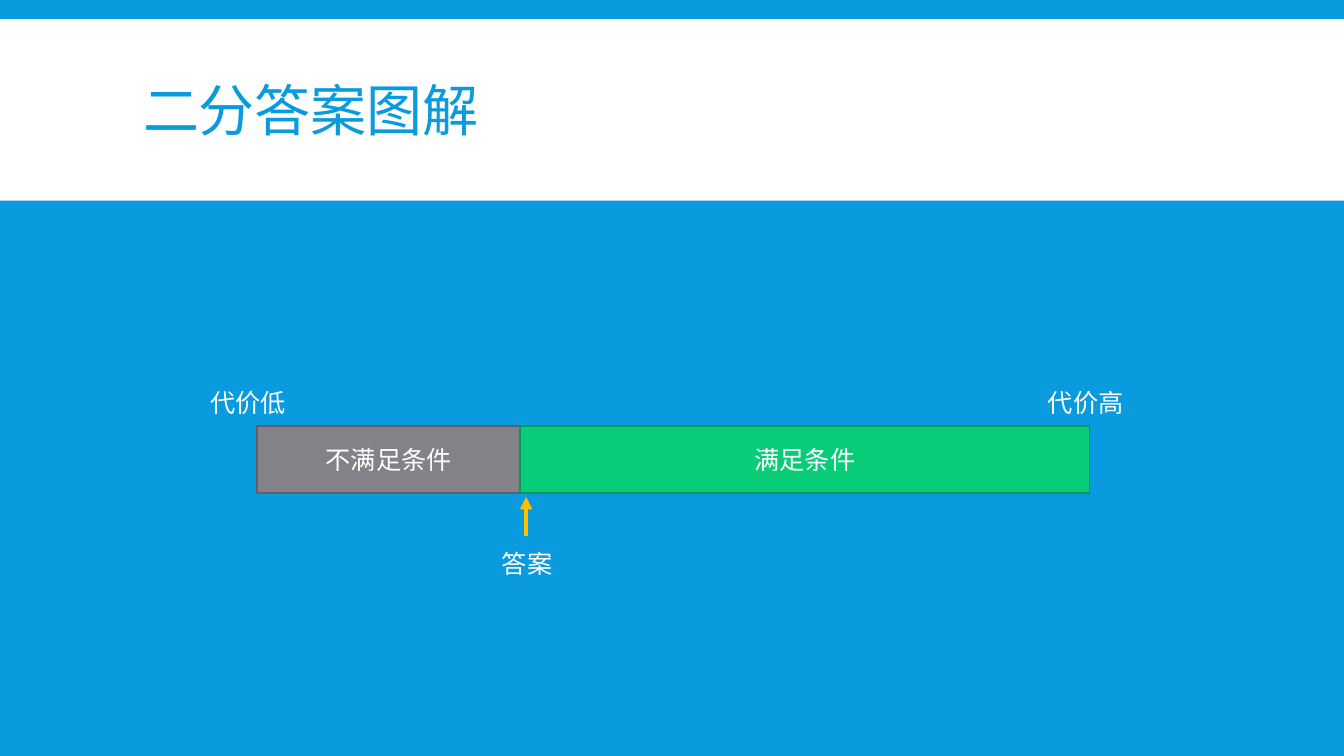
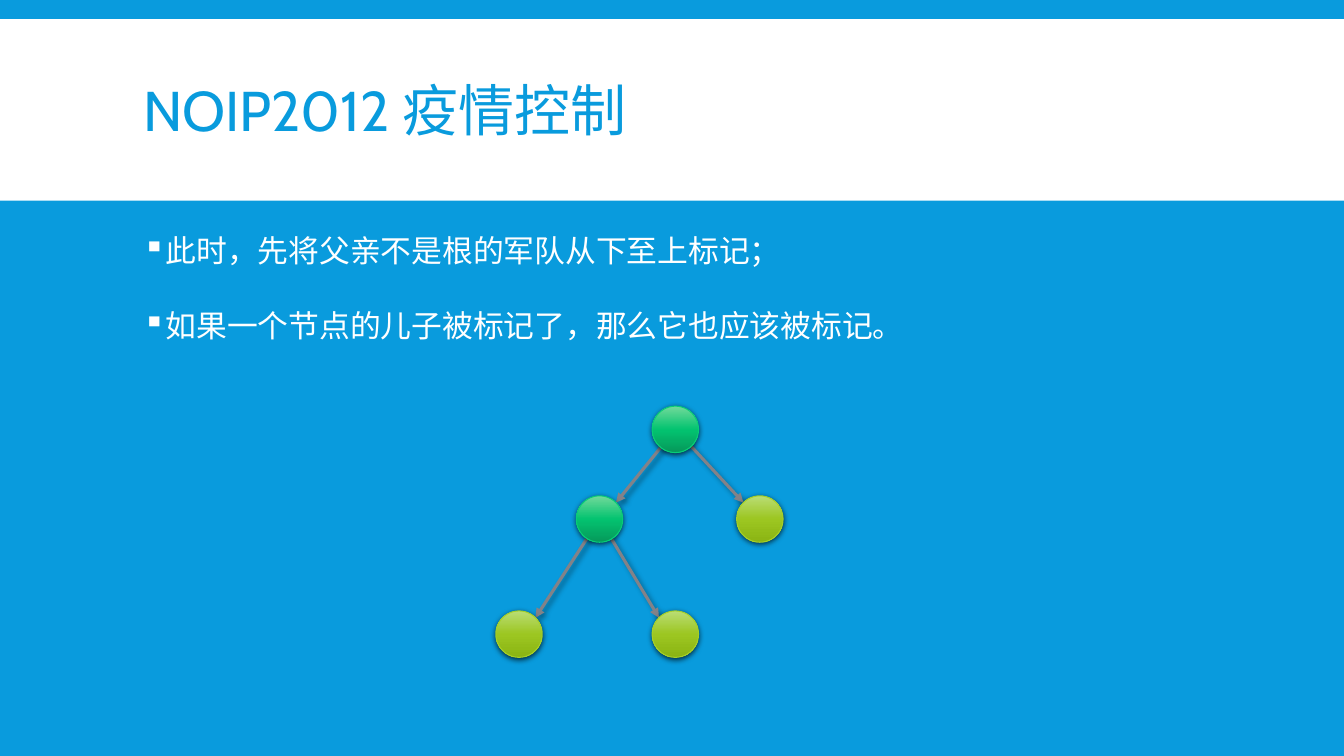
from math import sqrt

from copy import deepcopy
from lxml.etree import SubElement
from pptx import Presentation
from pptx.dml.color import RGBColor
from pptx.enum.shapes import MSO_CONNECTOR, MSO_SHAPE
from pptx.enum.text import MSO_ANCHOR, MSO_AUTO_SIZE, PP_ALIGN
from pptx.oxml.ns import qn
from pptx.util import Cm, Pt

FONT = "Cabin"
COLORS = {
    "blue": "099BDD",
    "white": "FFFFFF",
    "gray": "828288",
    "gray_edge": "606065",
    "green": "08CC78",
    "green_edge": "069759",
    "amber": "FFC000",
    "lime": "A5D028",
    "black": "000000",
}
GRADIENTS = {
    "green": ("72DA9A", "03C370", "06995A"),
    "lime": ("BADD75", "9CC621", "8BB413"),
}
SLIDE_WIDTH, SLIDE_HEIGHT = 33.87, 19.05
BAND_TOP, BAND_HEIGHT = 0.48, 4.58
MARGIN, CONTENT_WIDTH = 3.35, 27.18
BAR_TOP, BAR_HEIGHT = 10.74, 1.68
LABEL_HEIGHT = 1.02
NODE_SIZE = 1.17

NODES = {
    "root": (17.02, 10.82, "green"),
    "marked": (15.11, 13.08, "green"),
    "right": (19.15, 13.08, "lime"),
    "left_leaf": (13.08, 15.98, "lime"),
    "right_leaf": (17.02, 15.98, "lime"),
}
EDGES = [
    ("root", "marked"),
    ("root", "right"),
    ("marked", "right_leaf"),
    ("marked", "left_leaf"),
]


def color(name):
    return RGBColor.from_string(COLORS[name])


def style_text(paragraph, size, color_name="white"):
    for run in paragraph.runs:
        run.font.name = FONT
        run.font.size = Pt(size)
        run.font.color.rgb = color(color_name)


def add_shadow(effects, opacity, distance, angle):
    shadow = SubElement(
        effects, qn("a:outerShdw"), blurRad=str(Pt(4)), dist=str(Pt(distance)),
        dir=str(angle * 60000), algn="ctr", rotWithShape="0")
    tint = SubElement(shadow, qn("a:srgbClr"), val=COLORS["black"])
    SubElement(tint, qn("a:alpha"), val=str(opacity * 1000))


def add_block(slide, kind, left, top, width, height):
    block = slide.shapes.add_shape(kind, Cm(left), Cm(top), Cm(width), Cm(height))
    block.shadow.inherit = False
    return block


def set_up_theme(prs, layout):
    background = prs.slide_master.background.fill
    background.solid()
    background.fore_color.rgb = color("blue")
    slide = prs.slides.add_slide(layout)
    band = add_block(slide, MSO_SHAPE.RECTANGLE, 0, BAND_TOP, SLIDE_WIDTH, BAND_HEIGHT)
    band.fill.solid()
    band.fill.fore_color.rgb = color("white")
    band.line.fill.background()
    layout.shapes.element.insert(2, band.element)
    return slide


def add_title(slide, text):
    title = slide.shapes.title
    title.left, title.top = Cm(MARGIN), Cm(0.79)
    title.width, title.height = Cm(CONTENT_WIDTH), Cm(4.19)
    frame = title.text_frame
    frame.text = text
    frame.auto_size = MSO_AUTO_SIZE.NONE
    frame.vertical_anchor = MSO_ANCHOR.MIDDLE
    paragraph = frame.paragraphs[0]
    paragraph.alignment = PP_ALIGN.LEFT
    paragraph.line_spacing = 0.85
    style_text(paragraph, 40, "blue")


def add_bar(slide, text, left, right, fill, edge):
    bar = add_block(slide, MSO_SHAPE.RECTANGLE, left, BAR_TOP, right - left, BAR_HEIGHT)
    bar.fill.solid()
    bar.fill.fore_color.rgb = color(fill)
    bar.line.color.rgb = color(edge)
    bar.line.width = Pt(1)
    frame = bar.text_frame
    frame.text = text
    frame.vertical_anchor = MSO_ANCHOR.MIDDLE
    frame.paragraphs[0].alignment = PP_ALIGN.CENTER
    style_text(frame.paragraphs[0], 18)


def add_label(slide, text, left, top, width):
    label = slide.shapes.add_textbox(Cm(left), Cm(top), Cm(width), Cm(LABEL_HEIGHT))
    frame = label.text_frame
    frame.word_wrap = True
    frame.text = text
    style_text(frame.paragraphs[0], 18)


def add_arrow(slide, start, end, color_name, width):
    arrow = slide.shapes.add_connector(
        MSO_CONNECTOR.STRAIGHT, *(Cm(value) for value in (*start, *end)))
    arrow.line.color.rgb = color(color_name)
    arrow.line.width = Pt(width)
    properties = arrow.element.spPr
    SubElement(properties.find(qn("a:ln")), qn("a:tailEnd"), type="triangle")
    return SubElement(properties, qn("a:effectLst"))


def add_bullets(slide, lines):
    body = slide.shapes.add_textbox(Cm(MARGIN), Cm(5.26), Cm(CONTENT_WIDTH), Cm(13.49))
    frame = body.text_frame
    frame.word_wrap = True
    frame.text = "\n".join(lines)
    for paragraph in frame.paragraphs:
        paragraph.line_spacing = 1.5
        paragraph.space_before = Pt(12)
        paragraph.space_after = Pt(2)
        style_text(paragraph, 22)
        properties = paragraph._p.get_or_add_pPr()
        properties.set("marL", str(Cm(0.5)))
        properties.set("indent", str(-Cm(0.5)))
        bullet_color = SubElement(properties, qn("a:buClr"))
        SubElement(bullet_color, qn("a:srgbClr"), val=COLORS["white"])
        SubElement(properties, qn("a:buChar"), char="▪")


def add_node(slide, x, y, color_name):
    radius = NODE_SIZE / 2
    node = add_block(slide, MSO_SHAPE.OVAL, x - radius, y - radius, NODE_SIZE, NODE_SIZE)
    node.fill.gradient()
    node.fill.gradient_angle = 270
    properties = node.element.spPr
    stops = properties.find(".//" + qn("a:gsLst"))
    stops.append(deepcopy(stops[0]))
    for index, (stop, tone) in enumerate(zip(node.fill.gradient_stops, GRADIENTS[color_name])):
        stop.position = index / 2
        stop.color.rgb = RGBColor.from_string(tone)
    node.line.color.rgb = color(color_name)
    node.line.width = Pt(0.75)
    add_shadow(properties.find(qn("a:effectLst")), 68, 1.2, 90)


def add_edge(slide, parent, child):
    parent_x, parent_y, _ = NODES[parent]
    child_x, child_y, _ = NODES[child]
    offset = NODE_SIZE / 2 / sqrt(2)
    side = 1 if parent_x > child_x else -1
    end = (child_x + side * offset, child_y - offset)
    effects = add_arrow(slide, (parent_x, parent_y), end, "gray", 2.25)
    add_shadow(effects, 40, 3, 45)


def build_answer_slide(slide):
    add_title(slide, "二分答案图解")
    low, answer, high = 6.48, 13.11, 27.46
    add_bar(slide, "不满足条件", low, answer, "gray", "gray_edge")
    add_bar(slide, "满足条件", answer, high, "green", "green_edge")
    add_label(slide, "代价低", 5.05, 9.63, 3.5)
    add_label(slide, "代价高", 26.16, 9.63, 3.5)
    add_arrow(slide, (13.26, 13.51), (13.26, 12.52), "amber", 3)
    add_label(slide, "答案", 12.4, 13.69, 2.9)


def build_tree_slide(slide):
    add_title(slide, "NOIP2012 疫情控制")
    add_bullets(slide, [
        "此时，先将父亲不是根的军队从下至上标记；",
        "如果一个节点的儿子被标记了，那么它也应该被标记。",
    ])
    for parent, child in EDGES:
        add_edge(slide, parent, child)
    for node in NODES.values():
        add_node(slide, *node)


def main():
    prs = Presentation()
    prs.slide_width, prs.slide_height = Cm(SLIDE_WIDTH), Cm(SLIDE_HEIGHT)
    title_only = prs.slide_layouts[5]
    build_answer_slide(set_up_theme(prs, title_only))
    build_tree_slide(prs.slides.add_slide(title_only))
    prs.save("out.pptx")


if __name__ == "__main__":
    main()
